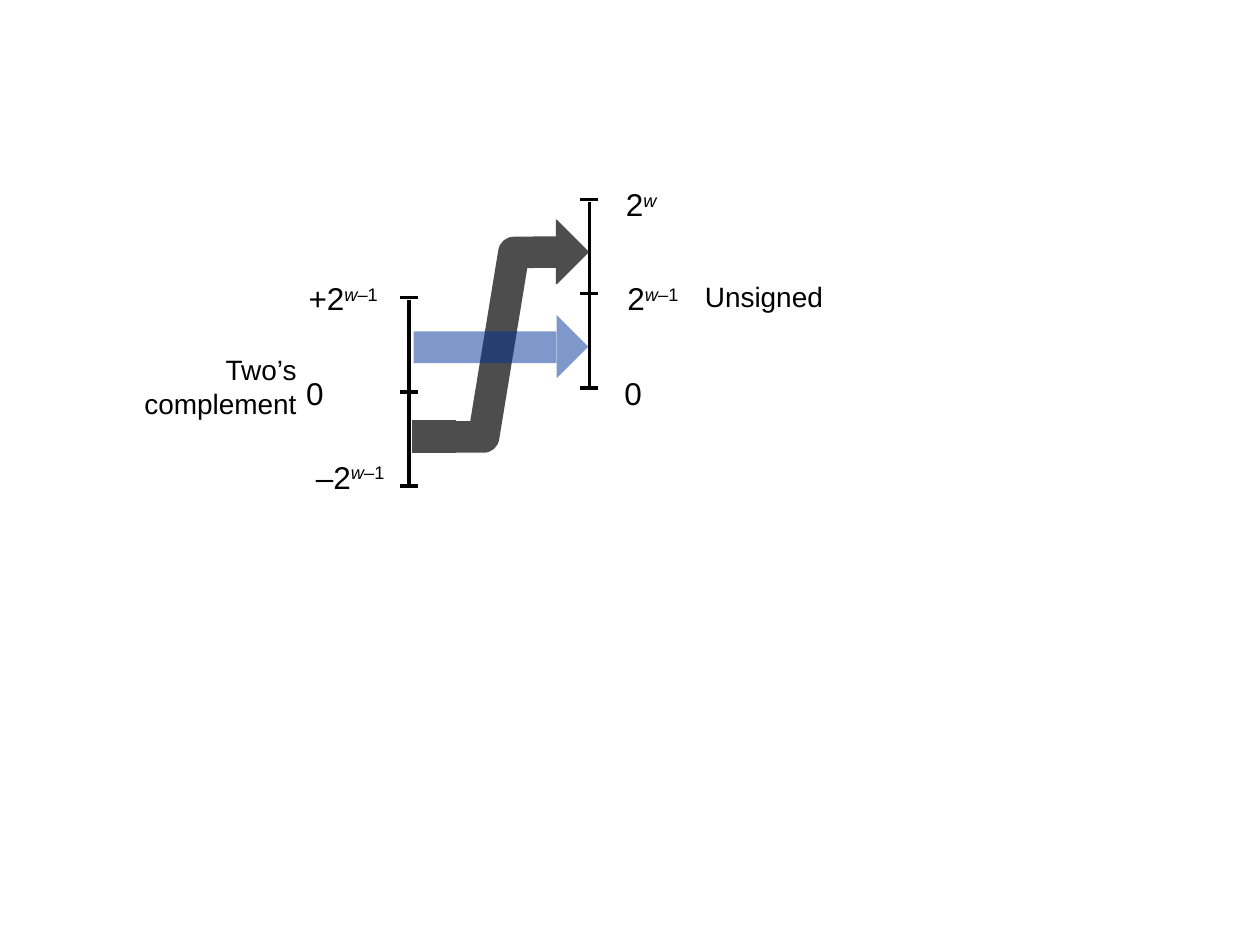
import pptx
import pptx.util
import pptx.dml.color
import pptx.enum.shapes
import pptx.enum.text
import pptx.oxml.ns
from lxml import etree

Cm, Pt = pptx.util.Cm, pptx.util.Pt
ALIGN = pptx.enum.text.PP_ALIGN

COLORS = {"ink": "000000", "band": "4D4D4D", "blue": "003399"}

# Number lines: x, top (cm); each has three evenly spaced ticks
AXES = [(8.25, 6), (11.88, 4.02)]
TICK_STEP, TICK_HALF = 1.9, 0.18

# Labels: left, top, width, height, size, alignment, paragraphs
# A run is (text, style): "" plain, "sup" raised, "var" raised italic
W = ("w", "var")
MINUS_1 = ("–1", "sup")
LABELS = [
    (12.34, 7.42, 0.88, 1.02, 18, "LEFT", [[("0", "")]]),
    (12.4, 5.51, 1.58, 1.02, 18, "LEFT", [[("2", ""), W, MINUS_1]]),
    (12.37, 3.61, 1.16, 1.02, 18, "LEFT", [[("2", ""), W]]),
    (13.91, 5.51, 2.93, 0.91, 16, "RIGHT", [[("Unsigned", "")]]),
    (2.65, 6.99, 3.58, 1.6, 16, "RIGHT", [[("Two’s", "")], [("complement", "")]]),
    (5.92, 7.42, 0.88, 1.02, 18, "LEFT", [[("0", "")]]),
    (5.97, 5.51, 1.95, 1.02, 18, "LEFT", [[("+2", ""), W, MINUS_1]]),
    (6.12, 9.1, 1.95, 1.02, 18, "LEFT", [[("–2", ""), W, MINUS_1]]),
]

# Arrows (cm)
BAND_PATH = [(8.69, 8.81), (9.75, 8.81), (10.36, 5.09), (11.33, 5.08)]
HEAD_X, HEAD_LENGTH, HEAD_HALF = 11.22, 0.64, 0.64
TAIL_HEIGHT = 0.64
# head centre y, tail left, tail top, colour, tail width, outline, opacity
ARROWS = [
    (5.08, 8.32, 8.48, 0.86, "band", 0.75, None),
    (6.99, 8.34, 6.68, 2.88, "blue", None, 50),
]


def rgb(name):
    return pptx.dml.color.RGBColor.from_string(COLORS[name])


def add_line(x1, y1, x2, y2):
    c = s.shapes.add_connector(pptx.enum.shapes.MSO_CONNECTOR.STRAIGHT,
                               Cm(x1), Cm(y1), Cm(x2), Cm(y2))
    c.line.color.rgb = rgb("ink")
    c.line.width = Pt(2)
    etree.SubElement(c._element.spPr, pptx.oxml.ns.qn("a:effectLst"))


def add_path(points, close):
    pts = [(Cm(x), Cm(y)) for x, y in points]
    builder = s.shapes.build_freeform(*pts[0])
    builder.add_line_segments(pts[1:], close=close)
    return builder.convert_to_shape()


def style(sp, fill, line, width, opacity=None):
    sp.shadow.inherit = False
    if fill:
        sp.fill.solid()
        sp.fill.fore_color.rgb = rgb(fill)
        if opacity:
            color = sp._element.spPr.find(".//" + pptx.oxml.ns.qn("a:srgbClr"))
            etree.SubElement(color, pptx.oxml.ns.qn("a:alpha"),
                             val=str(opacity * 1000))
    else:
        sp.fill.background()
    if width:
        sp.line.color.rgb = rgb(line)
        sp.line.width = Pt(width)
    else:
        sp.line.fill.background()


def add_label(left, top, width, height, size, align, paragraphs):
    box = s.shapes.add_textbox(Cm(left), Cm(top), Cm(width), Cm(height))
    tf = box.text_frame
    tf.word_wrap = False
    tf.auto_size = pptx.enum.text.MSO_AUTO_SIZE.SHAPE_TO_FIT_TEXT
    for i, runs in enumerate(paragraphs):
        p = tf.add_paragraph() if i else tf.paragraphs[0]
        p.alignment = getattr(ALIGN, align)
        for text, kind in runs:
            r = p.add_run()
            r.text = text
            font = {"name": "Arial", "size": Pt(size), "italic": kind == "var"}
            for key, value in font.items():
                setattr(r.font, key, value)
            r.font.color.rgb = rgb("ink")
            if kind:
                r._r.get_or_add_rPr().set("baseline", "30000")


prs = pptx.Presentation()
prs.slide_width, prs.slide_height = Cm(25.4), Cm(19.05)
s = prs.slides.add_slide(prs.slide_layouts[6])

# Number lines
for x, top in AXES:
    add_line(x, top + 0.05, x, top + 2 * TICK_STEP)
    for i in range(3):
        y = top + i * TICK_STEP
        add_line(x - TICK_HALF, y, x + TICK_HALF, y)

# Labels
for label in LABELS:
    add_label(*label)

# Bent band
band = add_path(BAND_PATH, False)
style(band, None, "band", 18)
etree.SubElement(band.line._get_or_add_ln(), pptx.oxml.ns.qn("a:round"))

# Arrow heads and tails
for y, tail_x, tail_top, tail_width, color, width, opacity in ARROWS:
    head = add_path([(HEAD_X, y - HEAD_HALF), (HEAD_X, y + HEAD_HALF),
                     (HEAD_X + HEAD_LENGTH, y)], True)
    tail = s.shapes.add_shape(pptx.enum.shapes.MSO_SHAPE.RECTANGLE, Cm(tail_x),
                              Cm(tail_top), Cm(tail_width), Cm(TAIL_HEIGHT))
    for sp in (head, tail):
        style(sp, color, color, width, opacity)

prs.save("out.pptx")
